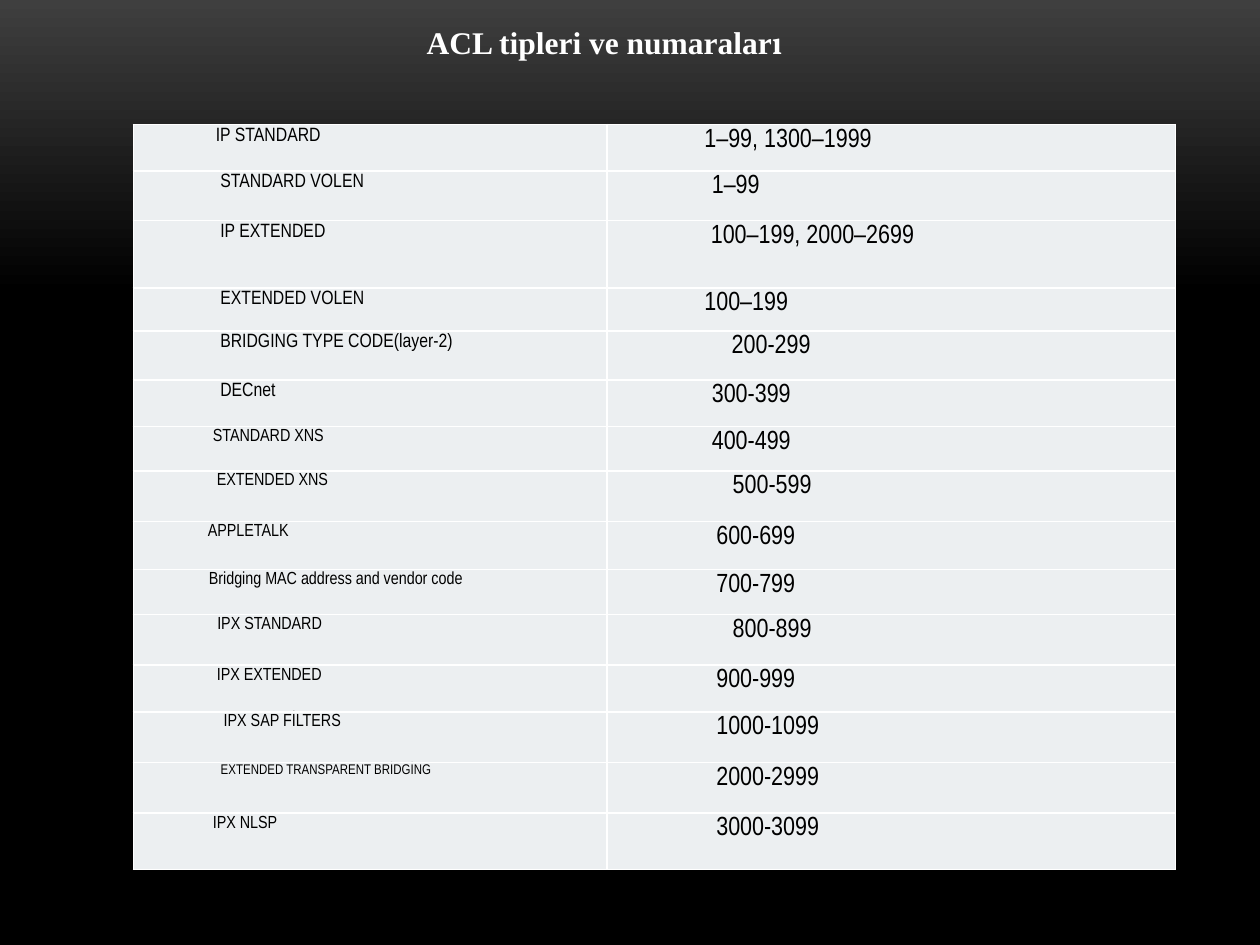
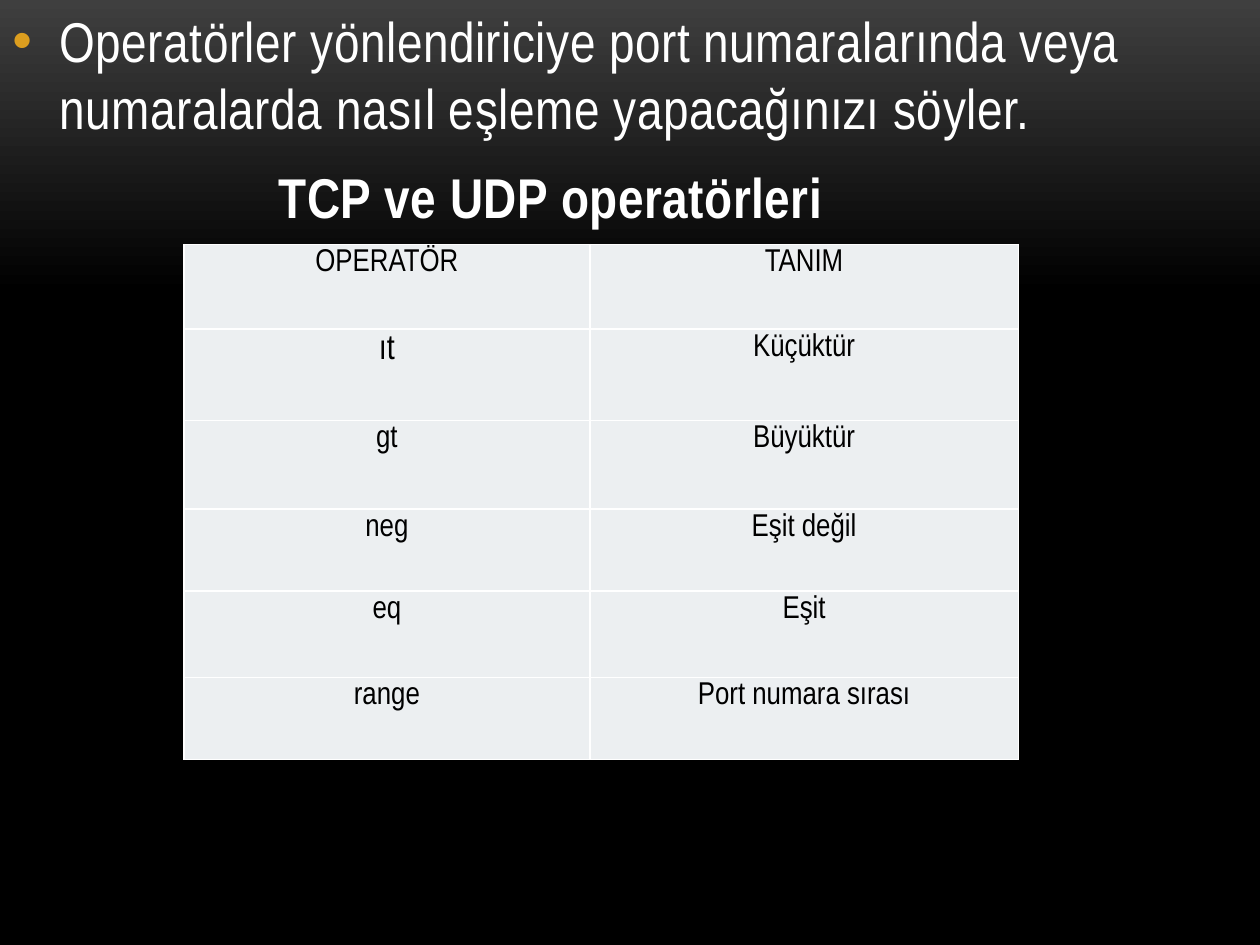
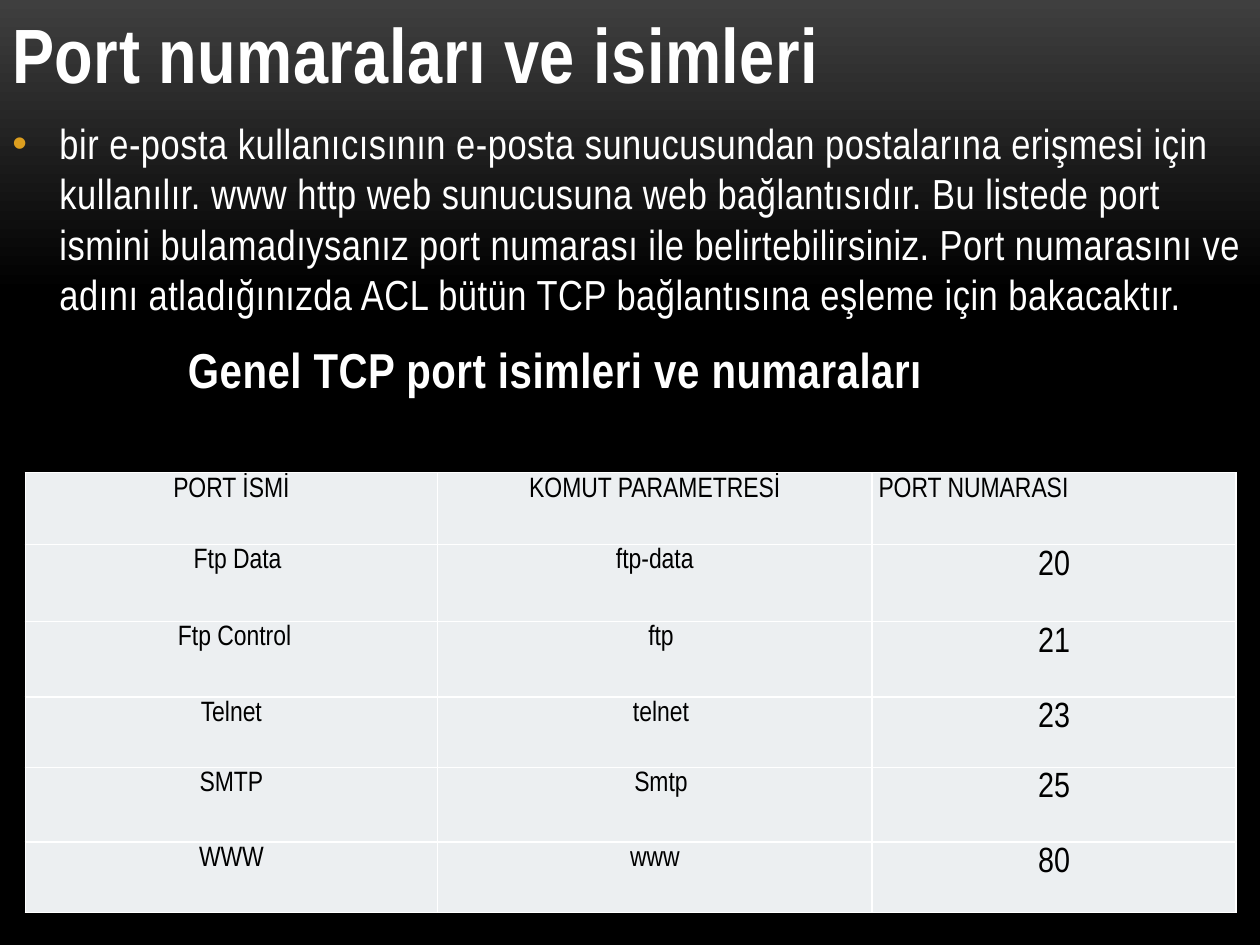
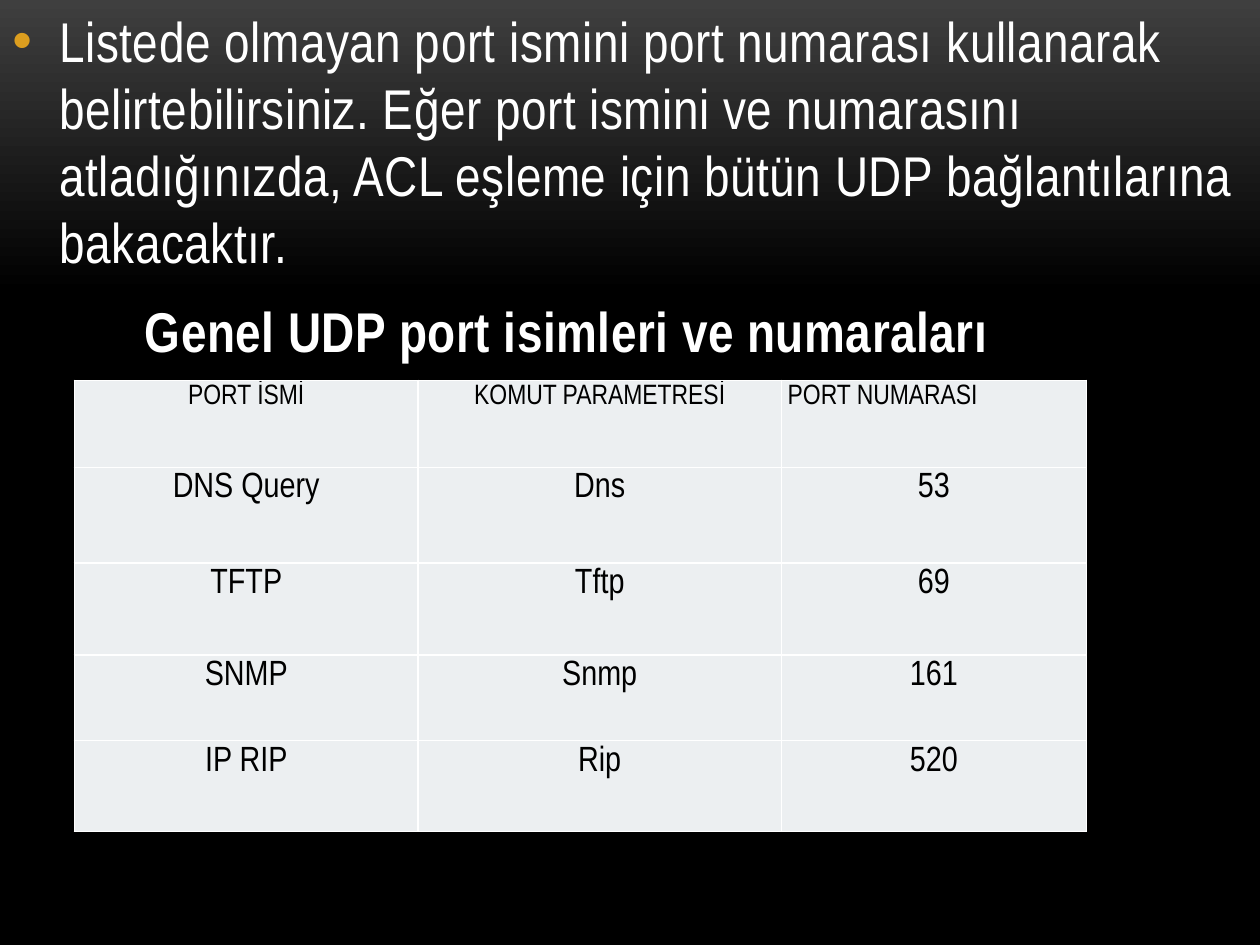
"""Builds four slides on access list numbers, operators and port names."""
import pptx
import pptx.dml.color
import pptx.enum.text
import pptx.oxml.ns
import pptx.util
from lxml import etree

Cm = pptx.util.Cm
Pt = pptx.util.Pt
qn = pptx.oxml.ns.qn
LEFT = pptx.enum.text.PP_ALIGN.LEFT
CENTER = pptx.enum.text.PP_ALIGN.CENTER

WIDTH, HEIGHT = 25.4, 19.05
NARROW = "Arial Narrow"
COLORS = {"text": "FFFFFF", "cell_text": "000000", "cell": "ECEFF1",
          "border": "FFFFFF", "bullet": "DC9E1F"}
BACKGROUND = [(0, "3F3F3F"), (0.31, "000000"), (1, "000000")]
HANGING = 0.95

ACL_TYPES = [
    ("IP STANDARD", 11, 1.51, "1–99, 1300–1999", 1.81),
    ("STANDARD VOLEN", 11, 1.6, "1–99", 1.96),
    ("IP EXTENDED", 11, 1.6, "100–199, 2000–2699", 1.94),
    ("EXTENDED VOLEN", 11, 1.6, "100–199", 1.81),
    ("BRİDGİNG TYPE CODE(layer-2)", 11, 1.6, "200-299", 2.36),
    ("DECnet", 11, 1.6, "300-399", 1.96),
    ("STANDARD XNS", 10, 1.45, "400-499", 1.96),
    ("EXTENDED XNS", 10, 1.53, "500-599", 2.38),
    ("APPLETALK", 10, 1.35, "600-699", 2.05),
    ("Bridging MAC address and vendor code", 10, 1.37, "700-799", 2.05),
    ("IPX STANDARD", 10, 1.54, "800-899", 2.38),
    ("IPX EXTENDED", 10, 1.53, "900-999", 2.05),
    ("IPX SAP FİLTERS", 10, 1.67, "1000-1099", 2.05),
    ("EXTENDED TRANSPARENT BRİDGİNG", 8, 1.61, "2000-2999", 2.05),
    ("IPX NLSP", 10, 1.45, "3000-3099", 2.05),
]
OPERATORS = [("OPERATÖR", "TANIM"), ("ıt", "Küçüktür"), ("gt", "Büyüktür"),
             ("neg", "Eşit değil"), ("eq", "Eşit"), ("range", "Port numara sırası")]
PORT_HEADER = [("PORT İSMİ", 16, 0), ("KOMUT PARAMETRESİ", 16, 0), ("PORT NUMARASI", 16, 0)]
TCP_PORTS = [("Ftp Data", 0.25, "ftp-data", 0, "20"), ("Ftp Control", 0.13, "ftp", 0.25, "21"),
             ("Telnet", 0, "telnet", 0.25, "23"), ("SMTP", 0, "Smtp", 0.25, "25"),
             ("WWW", 0, "www", 0, "80")]
UDP_PORTS = [("DNS Query", "Dns", "53"), ("TFTP", "Tftp", "69"),
             ("SNMP", "Snmp", "161"), ("IP RIP", "Rip", "520")]

SLIDES = [
    {"box": (5.69, 0.33, 12.7, 1.8),
     "paragraphs": [{"spans": [("ACL tipleri ve numaralar", "Times New Roman"), ("ı", "Cambria")],
                     "size": 18, "bold": True, "indent": 2.66, "plain": True}],
     "table": {"at": (2.69, 2.51), "columns": [9.55, 11.46], "margin": 0.15,
               "align": LEFT, "after": 0, "left_cells": [],
               "heights": [0.94, 0.99, 1.37, 0.86, 0.99, 0.94, 0.89, 1.02,
                           0.97, 0.91, 1.02, 0.94, 1.02, 1.02, 1.14],
               "rows": [[(name, size, indent), (numbers, 15, numbers_indent)]
                        for name, size, indent, numbers, numbers_indent in ACL_TYPES]}},
    {"box": (0, 0, WIDTH, HEIGHT),
     "paragraphs": [
         {"spans": [("Operatörler yönlendiriciye port numaralarında veya numaralarda nasıl "
                     "eşleme yapacağınızı söyler.", NARROW)], "size": 32, "bullet": True},
         {"spans": [("TCP ve UDP operatörleri", NARROW)], "size": 32, "bold": True, "indent": 5.37}],
     "table": {"at": (3.71, 4.93), "columns": [8.18, 8.64], "margin": 0.13,
               "align": CENTER, "after": 10, "left_cells": [],
               "heights": [1.7, 1.85, 1.78, 1.65, 1.75, 1.65],
               "rows": [[(text, 20 if text == "ıt" else 18, 0) for text in pair]
                        for pair in OPERATORS]}},
    {"box": (0, 0, WIDTH, HEIGHT),
     "paragraphs": [
         {"spans": [("Port numaraları ve isimleri", NARROW)], "size": 44, "bold": True},
         {"spans": [("bir e-posta kullanıcısının e-posta sunucusundan postalarına erişmesi için "
                     "kullanılır. www http web sunucusuna web bağlantısıdır. Bu listede port "
                     "ismini bulamadıysanız port numarası ile belirtebilirsiniz. Port numarasını "
                     "ve adını atladığınızda ACL bütün TCP bağlantısına eşleme için bakacaktır.",
                     NARROW)], "size": 24, "bullet": True},
         {"spans": [("Genel TCP port isimleri ve numaraları", NARROW)],
          "size": 28, "bold": True, "indent": 3.54}],
     "table": {"at": (0.51, 9.53), "columns": [8.31, 8.76, 7.34], "margin": 0.13,
               "align": CENTER, "after": 10, "left_cells": [(0, 2)],
               "heights": [1.45, 1.55, 1.52, 1.42, 1.5, 1.42],
               "rows": [PORT_HEADER] + [
                   [(name, 16, indent), (command, 16, command_indent), (number, 20, 0)]
                   for name, indent, command, command_indent, number in TCP_PORTS]}},
    {"box": (0, 0, WIDTH, HEIGHT),
     "paragraphs": [
         {"spans": [("Listede olmayan port ismini port numarası kullanarak belirtebilirsiniz. "
                     "Eğer port ismini ve numarasını atladığınızda, ACL eşleme için bütün UDP "
                     "bağlantılarına bakacaktır.", NARROW)], "size": 32, "bullet": True},
         {"spans": [("Genel UDP port isimleri ve numaraları", NARROW)],
          "size": 32, "bold": True, "indent": 2.67}],
     "table": {"at": (1.5, 7.67), "columns": [6.93, 7.32, 6.15], "margin": 0.13,
               "align": CENTER, "after": 10, "left_cells": [(0, 2)],
               "heights": [1.75, 1.93, 1.85, 1.73, 1.83],
               "rows": [PORT_HEADER] + [[(text, 20, 0) for text in row] for row in UDP_PORTS]}},
]


def rgb(value):
    return pptx.dml.color.RGBColor.from_string(value)


def apply(target, values):
    for name, value in values.items():
        setattr(target, name, value)


def add_span(para, text, font, size, color, bold=False):
    span = para.add_run()
    span.text = text
    apply(span.font, {"name": font, "size": Pt(size), "bold": bold})
    span.font.color.rgb = rgb(color)
    return span


def set_indent(para, left, first=0):
    properties = para._p.get_or_add_pPr()
    properties.set("marL", str(Cm(left)))
    properties.set("indent", str(Cm(first)))
    return properties


def add_bullet(para):
    properties = set_indent(para, HANGING, -HANGING)
    color = etree.SubElement(properties, qn("a:buClr"))
    etree.SubElement(color, qn("a:srgbClr"), val=COLORS["bullet"])
    etree.SubElement(properties, qn("a:buFont"), typeface="Arial")
    etree.SubElement(properties, qn("a:buChar"), char="•")


def add_text(page, position, paragraphs):
    box = page.shapes.add_textbox(*(Cm(value) for value in position))
    frame = box.text_frame
    frame.word_wrap = True
    for index, item in enumerate(paragraphs):
        para = frame.paragraphs[0] if index == 0 else frame.add_paragraph()
        spaced = not item.get("plain")
        if spaced:
            apply(para, {"space_before": Pt(0.2 * item["size"]), "space_after": Pt(6)})
        if item.get("bullet"):
            add_bullet(para)
        else:
            set_indent(para, item.get("indent", 0))
        for text, font in item["spans"]:
            span = add_span(para, text, font, item["size"], COLORS["text"], item.get("bold", False))
            if spaced:
                span._r.get_or_add_rPr().set("spc", "30")


def add_borders(cell):
    properties = cell._tc.get_or_add_tcPr()
    for side in ("a:lnL", "a:lnR", "a:lnT", "a:lnB"):
        line = etree.SubElement(properties, qn(side), w=str(Pt(1)))
        fill = etree.SubElement(line, qn("a:solidFill"))
        etree.SubElement(fill, qn("a:srgbClr"), val=COLORS["border"])


def add_table(page, data):
    rows, columns, heights = data["rows"], data["columns"], data["heights"]
    left, top = data["at"]
    table = page.shapes.add_table(len(rows), len(columns), Cm(left), Cm(top),
                                  Cm(sum(columns)), Cm(sum(heights))).table
    apply(table, {"first_row": False, "horz_banding": False})
    for column, width in zip(table.columns, columns):
        column.width = Cm(width)
    for row, height in zip(table.rows, heights):
        row.height = Cm(height)
    for row_index, row in enumerate(rows):
        for column_index, (text, size, indent) in enumerate(row):
            cell = table.cell(row_index, column_index)
            add_borders(cell)
            cell.fill.solid()
            cell.fill.fore_color.rgb = rgb(COLORS["cell"])
            apply(cell, {"margin_left": Cm(data["margin"]), "margin_right": Cm(data["margin"]),
                         "margin_top": 0, "margin_bottom": 0})
            para = cell.text_frame.paragraphs[0]
            is_left = (row_index, column_index) in data["left_cells"]
            apply(para, {"alignment": LEFT if is_left else data["align"],
                         "line_spacing": 1.15, "space_after": Pt(data["after"])})
            set_indent(para, indent)
            add_span(para, text, NARROW, size, COLORS["cell_text"])


def paint_background(master):
    fill = master.background.fill
    fill.gradient()
    fill.gradient_angle = 270
    stops = master.element.find(".//" + qn("a:gsLst"))
    for stop in list(stops):
        stops.remove(stop)
    for position, color in BACKGROUND:
        stop = etree.SubElement(stops, qn("a:gs"), pos=str(round(position * 100000)))
        etree.SubElement(stop, qn("a:srgbClr"), val=color)


def main():
    deck = pptx.Presentation()
    apply(deck, {"slide_width": Cm(WIDTH), "slide_height": Cm(HEIGHT)})
    paint_background(deck.slide_master)
    for content in SLIDES:
        page = deck.slides.add_slide(deck.slide_layouts[6])
        add_text(page, content["box"], content["paragraphs"])
        add_table(page, content["table"])
    deck.save("out.pptx")


if __name__ == "__main__":
    main()
